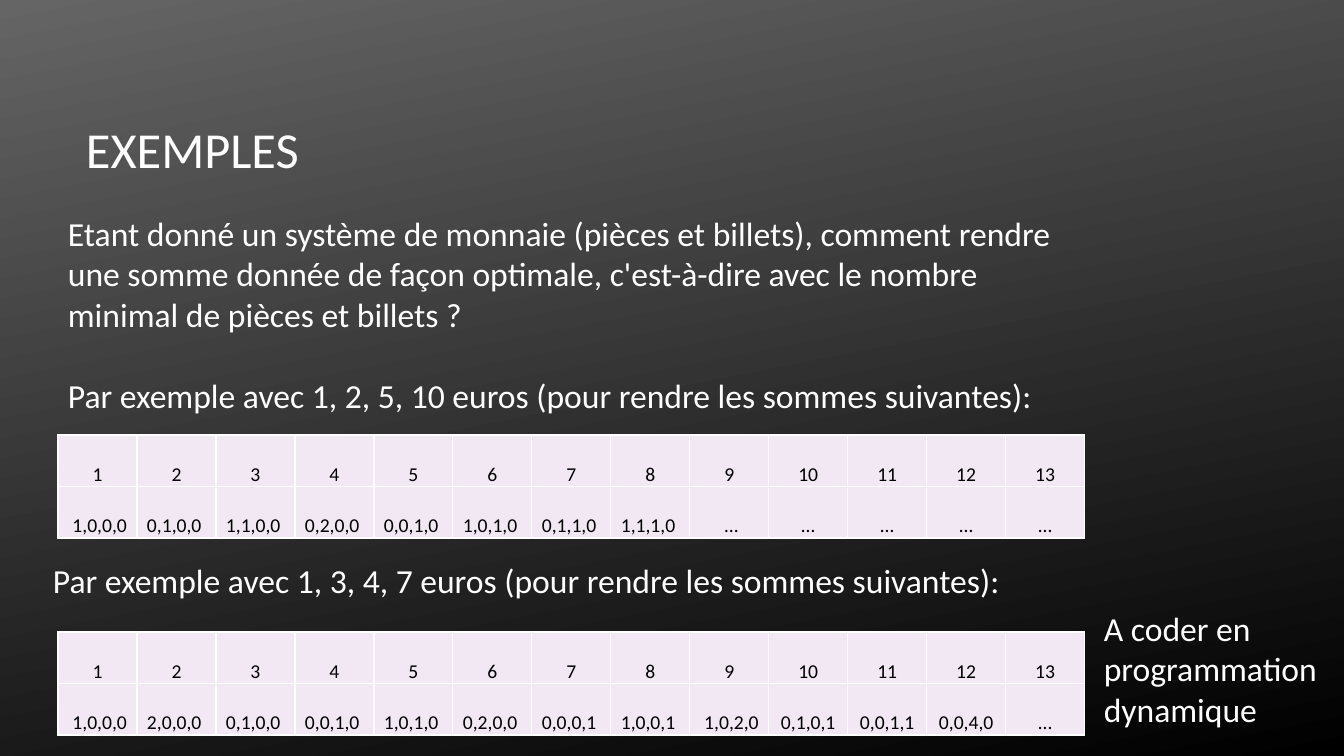
from lxml import etree
from pptx import Presentation
from pptx import util as u
from pptx.dml import color
from pptx.enum import text
from pptx.oxml import ns

EMU_PER_PX = 914400 / 100.8
FONT = "Calibri"
WHITE, BLACK, LILAC = "FFFFFF", "000000", "F1E8F4"

SUMS = [str(n) for n in range(1, 14)]
CHANGE_1_2_5_10 = (" 1,0,0,0|0,1,0,0 |1,1,0,0 |0,2,0,0 |0,0,1,0 |1,0,1,0 |"
                   "0,1,1,0 |1,1,1,0 | …|…|…|…|…").split("|")
CHANGE_1_3_4_7 = (" 1,0,0,0|2,0,0,0 |0,1,0,0 |0,0,1,0 |1,0,1,0 |0,2,0,0 |"
                  "0,0,0,1 |1,0,0,1 | 1,0,2,0|0,1,0,1|0,0,1,1|0,0,4,0|…").split("|")
QUESTION = ("Etant donné un système de monnaie (pièces et billets), comment rendre "
            "une somme donnée de façon optimale, c'est-à-dire avec le nombre "
            "minimal de pièces et billets ?")
EXAMPLE = "Par exemple avec {} euros (pour rendre les sommes suivantes):"


def px(length):
    return round(length * EMU_PER_PX)


def rgb(hex_code):
    return color.RGBColor.from_string(hex_code)


def apply(target, formats):
    for name, value in formats.items():
        setattr(target, name, value)


def style_font(font, size, hex_code):
    apply(font, {"name": FONT, "size": u.Pt(size)})
    font.color.rgb = rgb(hex_code)


def paint_background(slide):
    fill = slide.background.fill
    fill.gradient()
    fill.gradient_angle = 360 - 79
    for stop, hex_code in zip(fill.gradient_stops, ("656565", BLACK)):
        stop.color.rgb = rgb(hex_code)


def add_words(slide, box, lines, size=24, anchor=text.MSO_ANCHOR.TOP, gap=0):
    """Text filling box, with gap points between its paragraphs."""
    frame = slide.shapes.add_textbox(*map(px, box)).text_frame
    apply(frame, {"word_wrap": True, "vertical_anchor": anchor})
    for i, line in enumerate(lines):
        paragraph = frame.add_paragraph() if i else frame.paragraphs[0]
        paragraph.space_before = u.Pt(gap if i else 0)
        run = paragraph.add_run()
        run.text = line
        style_font(run.font, size, WHITE)


def add_borders(cell):
    properties = cell._tc.get_or_add_tcPr()
    for side in ("lnL", "lnR", "lnT", "lnB"):
        line = etree.SubElement(properties, ns.qn("a:" + side), w=str(u.Pt(1)))
        solid = etree.SubElement(line, ns.qn("a:solidFill"))
        etree.SubElement(solid, ns.qn("a:srgbClr"), val=WHITE)


def add_change_table(slide, box, change):
    """Sums on the first row, coins given back for each on the second."""
    rows = (SUMS, change)
    left, top, width, height = box
    table = slide.shapes.add_table(len(rows), len(SUMS), *map(px, box)).table
    apply(table, {"first_row": False, "horz_banding": False})
    for column in table.columns:
        column.width = px(width / len(SUMS))
    for row, values in zip(table.rows, rows):
        row.height = px(height / len(rows))
        for cell, value in zip(row.cells, values):
            apply(cell, {"text": value, "vertical_anchor": text.MSO_ANCHOR.BOTTOM,
                         "margin_left": px(1), "margin_right": px(1),
                         "margin_top": px(1), "margin_bottom": 0})
            paragraph = cell.text_frame.paragraphs[0]
            paragraph.alignment = text.PP_ALIGN.CENTER
            style_font(paragraph.runs[0].font, 14, BLACK)
            add_borders(cell)
            cell.fill.solid()
            cell.fill.fore_color.rgb = rgb(LILAC)


def build_examples_slide(deck):
    slide = deck.slides.add_slide(deck.slide_layouts[6])
    paint_background(slide)

    # Title and question
    add_words(slide, (76, 68, 1117, 160), ["EXEMPLES"], 36, text.MSO_ANCHOR.MIDDLE)
    add_words(slide, (58, 208, 1026, 254),
              [QUESTION, EXAMPLE.format("1, 2, 5, 10")], gap=29)

    # First coin system
    add_change_table(slide, (58, 435, 1027, 103), CHANGE_1_2_5_10)

    # Second coin system
    add_change_table(slide, (58, 632, 1027, 103), CHANGE_1_3_4_7)
    add_words(slide, (43, 555, 1041, 50), [EXAMPLE.format("1, 3, 4, 7")])

    # Coding task
    add_words(slide, (1094, 603, 250, 132), ["A coder en programmation dynamique"])


def main():
    deck = Presentation()
    apply(deck, {"slide_width": px(1344), "slide_height": px(756)})
    build_examples_slide(deck)
    deck.save("out.pptx")


if __name__ == "__main__":
    main()
